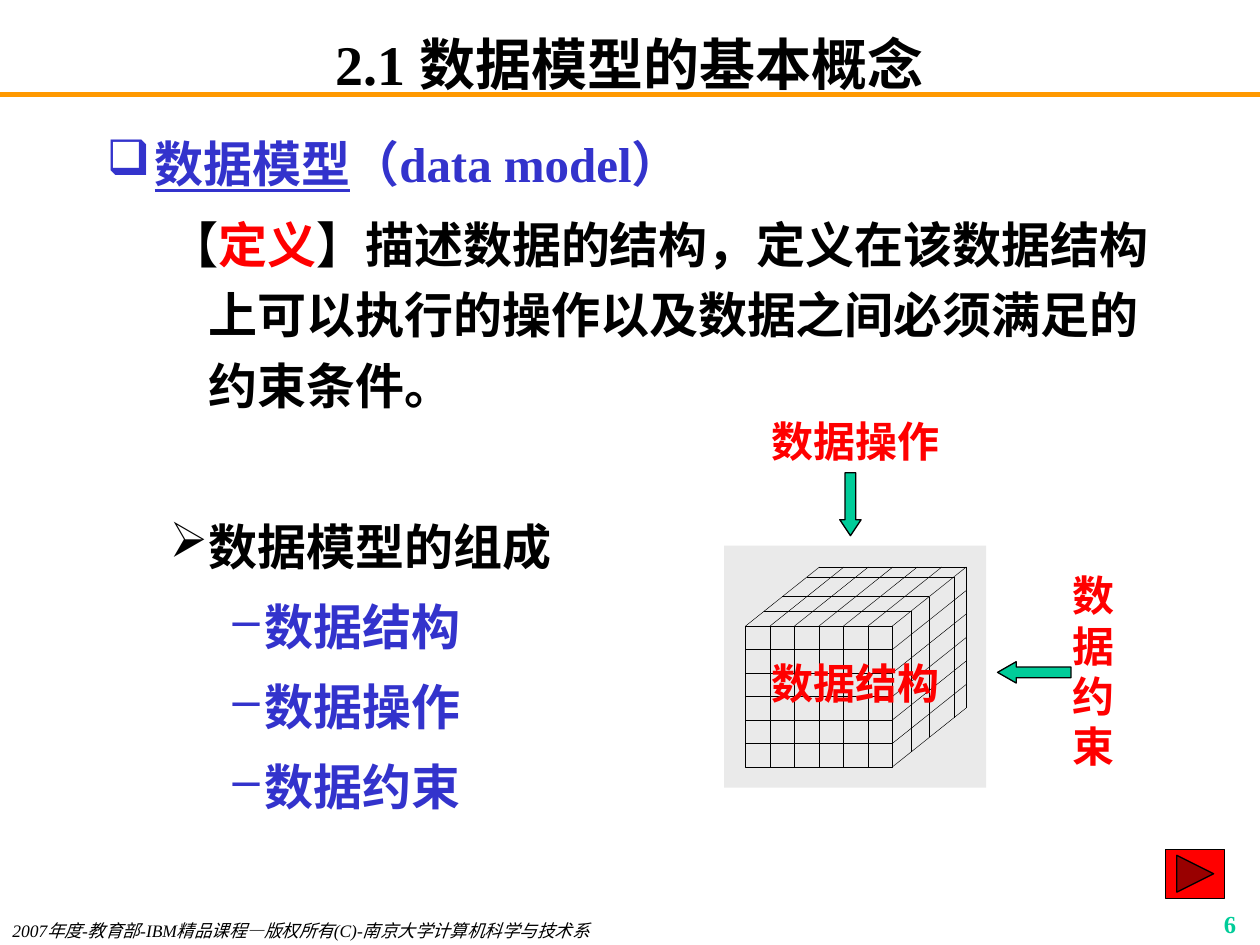
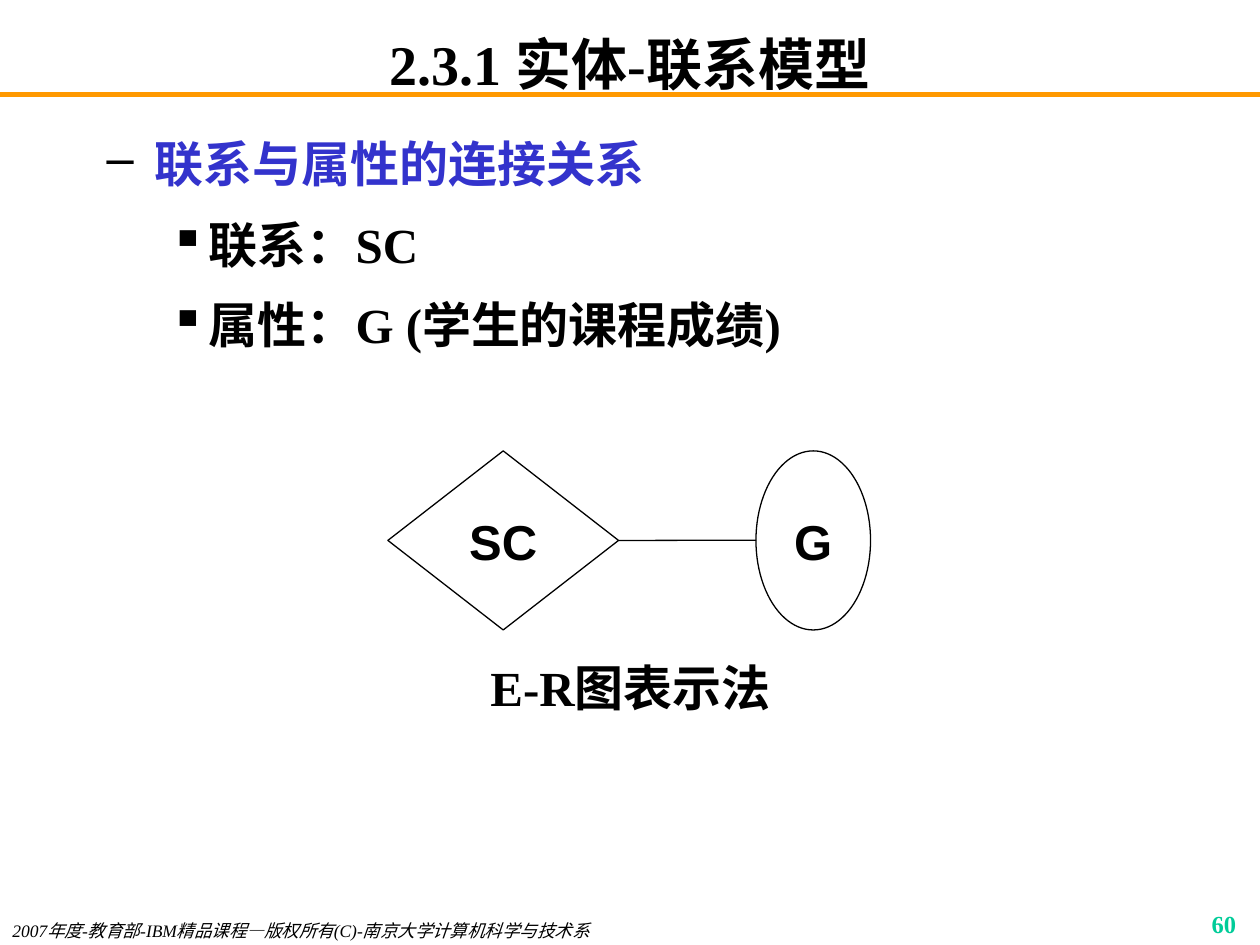
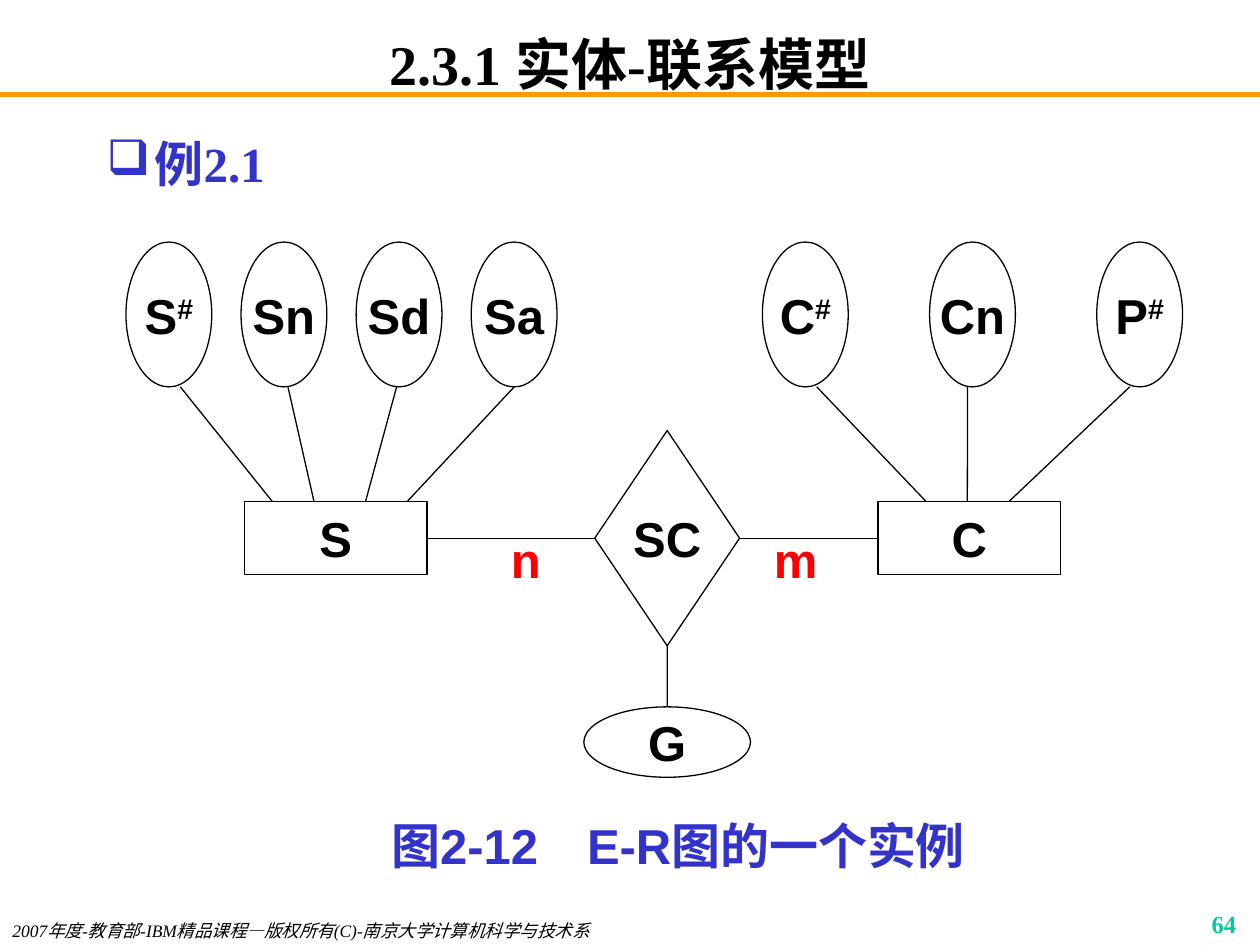
from collections import namedtuple

from lxml import etree
from pptx import Presentation
from pptx import util as u
from pptx.dml.color import RGBColor
from pptx.enum import shapes, text
from pptx.oxml import ns

Box = namedtuple("Box", "left top width height")

COLOURS = {
    "ink": "000000", "blue": "3333CC", "red": "FF0000", "green": "00CC99",
    "orange": "FF9900", "grey": "EAEAEA", "white": "FFFFFF",
}
SERIF, SANS, CJK = "Times New Roman", "Arial", "Noto Sans CJK SC"
FORMATS = {
    "title": dict(name=SERIF, size=u.Pt(32), bold=True, colour="ink"),
    "body": dict(name=SERIF, size=u.Pt(28), bold=True, colour="ink"),
    "heading": dict(name=SERIF, size=u.Pt(28), bold=True, colour="blue"),
    "label": dict(name=SERIF, size=u.Pt(24), bold=True, colour="red"),
    "node": dict(name=SANS, size=u.Pt(28), bold=True, colour="ink"),
    "footer": dict(name=SERIF, size=u.Pt(10), italic=True, colour="ink"),
    "number": dict(name=SERIF, size=u.Pt(14), bold=True, colour="green"),
}
LEVELS = [(0.97, -0.97), (2.06, -0.79), (3.18, -0.64)]
FOOTER = "2007年度-教育部-IBM精品课程—版权所有(C)-南京大学计算机科学与技术系"
BODY = Box(1.9, 2.34, 21.6, 15.44)
CENTER = text.PP_ALIGN.CENTER
ZERO_INSETS = dict(margin_left=0, margin_top=0, margin_right=0, margin_bottom=0)


def inside(box, left, top, width, height):
    """Return a box placed relative to the corner of another."""
    return Box(box.left + left, box.top + top, width, height)


def set_attributes(target, values):
    """Set every named attribute of the target."""
    for name, value in values.items():
        setattr(target, name, value)


def rgb(colour):
    """Return the palette colour of that name."""
    return RGBColor.from_string(COLOURS[colour])


def write(paragraph, content, style, **changes):
    """Add a string, or a list of (string, changes), to a paragraph."""
    runs = [(content, {})] if isinstance(content, str) else content
    for words, own in runs:
        values = {**FORMATS[style], **changes, **own}
        colour, baseline = values.pop("colour"), values.pop("baseline", None)
        run = paragraph.add_run()
        run.text = words
        set_attributes(run.font, values)
        run.font.color.rgb = rgb(colour)
        properties = run._r.get_or_add_rPr()
        etree.SubElement(properties, ns.qn("a:ea"), typeface=CJK)
        if baseline:
            properties.set("baseline", str(baseline))


def add_text(slide, box, content, style, align=CENTER, frame=None, **changes):
    """Add a wrapping text box with one paragraph."""
    text_frame = slide.shapes.add_textbox(*map(u.Cm, box)).text_frame
    set_attributes(text_frame, {"word_wrap": True, **(frame or {})})
    paragraph = text_frame.paragraphs[0]
    paragraph.alignment = align
    write(paragraph, content, style, **changes)


def add_figure(slide, kind, box, fill=None, line="ink", width=0.75, label=None, adjustments=()):
    """Add a preset shape with an optional centred label."""
    shape = slide.shapes.add_shape(kind, *map(u.Cm, box))
    shape.shadow.inherit = False
    if fill:
        shape.fill.solid()
        shape.fill.fore_color.rgb = rgb(fill)
    else:
        shape.fill.background()
    if line:
        shape.line.color.rgb = rgb(line)
        shape.line.width = u.Pt(width)
    else:
        shape.line.fill.background()
    for index, value in enumerate(adjustments):
        shape.adjustments[index] = value
    if label:
        set_attributes(shape.text_frame, dict(
            word_wrap=False, vertical_anchor=text.MSO_ANCHOR.MIDDLE, **ZERO_INSETS))
        paragraph = shape.text_frame.paragraphs[0]
        paragraph.alignment = CENTER
        write(paragraph, label, "node")
    return shape


def add_line(slide, start=(0, 0), end=(0, 0), colour="ink", width=0.75, begin=None, finish=None):
    """Add a straight connector, joined to (shape, site) pairs where given."""
    connector = slide.shapes.add_connector(
        shapes.MSO_CONNECTOR.STRAIGHT, *map(u.Cm, (*start, *end)))
    if begin:
        connector.begin_connect(*begin)
    if finish:
        connector.end_connect(*finish)
    connector.line.color.rgb = rgb(colour)
    connector.line.width = u.Pt(width)
    etree.SubElement(connector._element.spPr, ns.qn("a:effectLst"))


def add_outline(slide, box, items):
    """Add the outline, whose items hold level, bullet, content and options."""
    text_frame = slide.shapes.add_textbox(*map(u.Cm, box)).text_frame
    text_frame.word_wrap = True
    for index, (level, bullet, content, style, options) in enumerate(items):
        options = dict(options)
        before, bullet_colour = options.pop("before", 5.5), options.pop("bullet_colour", None)
        paragraph = text_frame.add_paragraph() if index else text_frame.paragraphs[0]
        paragraph.level = level
        properties = paragraph._p.get_or_add_pPr()
        for name, value in zip(("marL", "indent"), LEVELS[level]):
            properties.set(name, str(u.Cm(value)))
        if bullet_colour:
            holder = etree.SubElement(properties, ns.qn("a:buClr"))
            etree.SubElement(holder, ns.qn("a:srgbClr"), val=COLOURS[bullet_colour])
        if bullet:
            etree.SubElement(properties, ns.qn("a:buChar"), char=bullet)
        paragraph.line_spacing = 1.2
        if index:
            paragraph.space_before = u.Pt(before)
        write(paragraph, content, style, **options)


def add_page(presentation, title, number):
    """Add a slide with the title, band, footer and number that all share."""
    slide = presentation.slides.add_slide(presentation.slide_layouts[6])
    add_line(slide, (0, 1.9), (25.4, 1.9), "orange", 3)
    add_text(slide, Box(1.9, 0.64, 21.6, 1.27), title, "title", frame=dict(
        vertical_anchor=text.MSO_ANCHOR.MIDDLE, margin_top=0, margin_bottom=0))
    add_text(slide, Box(0, 18.42, 13.97, 0.64), FOOTER, "footer", text.PP_ALIGN.LEFT)
    add_text(slide, Box(19.89, 18.21, 5.28, 0.64), str(number), "number", text.PP_ALIGN.RIGHT)
    return slide


def draw_cube(slide, box):
    """Draw the gridded cube on its grey panel."""
    rectangle = shapes.MSO_SHAPE.RECTANGLE
    add_figure(slide, rectangle, box, "grey", None)
    front = inside(box, 0.43, 1.62, 2.96, 2.84)
    add_figure(slide, rectangle, front, "grey", width=0.25)
    right, bottom = front.left + front.width, front.top + front.height
    depth_x, depth_y, cells = 1.49, -1.19, 6
    columns = [front.left + front.width * step / cells for step in range(cells + 1)]
    rows = [front.top + front.height * step / cells for step in range(cells + 1)]
    edges = [((right, y), (front.left, y)) for y in rows[1:-1]]
    edges += [((x, front.top), (x, bottom)) for x in columns[1:-1]]
    edges += [((x + depth_x, front.top + depth_y), (x, front.top)) for x in columns]
    edges += [((right + depth_x, y + depth_y), (right, y)) for y in rows[1:]]
    for part in (0.25, 0.5, 0.83, 1):
        x, y = right + part * depth_x, front.top + part * depth_y
        edges += [((x, y), (x - front.width, y)), ((x, y), (x, y + front.height))]
    for start, end in edges:
        add_line(slide, start, end, width=0.25)


def draw_model(slide, box):
    """Draw the cube with its labels and the arrows pointing at it."""
    draw_cube(slide, inside(box, 0, 2.74, 5.28, 4.88))
    for label, place in (
        ("数据结构", (0.64, 4.88, 4.02, 1.27)),
        ("数据约束", (6.78, 3.1, 1.27, 4.32)),
        ("数据操作", (0, 0, 5.28, 1.27)),
    ):
        add_text(slide, inside(box, *place), label, "label")
    for kind, place, head in (
        (shapes.MSO_SHAPE.LEFT_ARROW, (5.51, 5.08, 1.48, 0.43), 0.875),
        (shapes.MSO_SHAPE.DOWN_ARROW, (2.33, 1.27, 0.43, 1.27), 0.75),
    ):
        add_figure(slide, kind, inside(box, *place), "green", adjustments=(0.5, head))


def draw_relation(slide, box):
    """Draw a relationship joined to its attribute, with a caption."""
    relation = add_figure(slide, shapes.MSO_SHAPE.DIAMOND,
                          inside(box, 0.71, 0, 4.65, 3.61), "white", label="SC")
    add_figure(slide, shapes.MSO_SHAPE.OVAL, inside(box, 8.13, 0, 2.31, 3.61), "white", label="G")
    add_line(slide, end=(box.left + 8.13, box.top + 1.8), begin=(relation, 3))
    add_text(slide, inside(box, 0, 4.04, box.width, 1.45), "E-R图表示法", "body")


def draw_entity(slide, box, label, left, pitch, attributes):
    """Draw an entity in the box, with a row of attributes linked to its top."""
    entity = add_figure(slide, shapes.MSO_SHAPE.RECTANGLE, box, label=label)
    top, width, height = box.top - 5.23, 1.73, 2.92
    for index, (name, start, end) in enumerate(attributes):
        oval = Box(left + index * pitch, top, width, height)
        add_figure(slide, shapes.MSO_SHAPE.OVAL, oval, label=name)
        add_line(slide, (oval.left + width / 2 + start, top + height), (box.left + end, box.top))
    return entity


def draw_example(slide, box):
    """Draw two entities, their relationship and a caption."""
    def numbered(letter):
        """Return the letter with a raised number sign."""
        return [(letter, {}), ("#", dict(baseline=30000))]

    student = draw_entity(slide, inside(box, 2.39, 5.23, 3.68, 1.48), "S", box.left, 2.32, [
        (numbered("S"), 0.23, 0.56), ("Sn", 0.08, 1.4), ("Sd", -0.05, 2.44), ("Sa", 0, 3.28)])
    course = draw_entity(
        slide, inside(box, 15.16, 5.23, 3.68, 1.48), "C", box.left + 12.83, 3.37, [
            (numbered("C"), 0.23, 0.97), ("Cn", -0.1, 1.8), (numbered("P"), -0.2, 2.64)])
    relation = add_figure(slide, shapes.MSO_SHAPE.FLOWCHART_DECISION,
                          inside(box, 9.45, 3.8, 2.92, 4.34), label="SC")
    grade = add_figure(slide, shapes.MSO_SHAPE.OVAL, inside(box, 9.23, 9.37, 3.36, 1.42), label="G")
    for begin, finish in (((student, 3), (relation, 1)), ((relation, 3), (course, 1)),
                          ((relation, 2), (grade, 0))):
        add_line(slide, begin=begin, finish=finish)
    for label, left in (("n", 7.54), ("m", 12.98)):
        add_text(slide, inside(box, left, 5.79, 1.04, 1.19), label, "node",
                 frame=ZERO_INSETS, colour="red")
    add_text(slide, inside(box, 2.34, 11.43, 17.58, 1.45),
             "图2-12　E-R图的一个实例", "node", colour="blue")


def build_concepts(presentation):
    """Build the slide on the data model's basic concepts."""
    slide = add_page(presentation, "2.1 数据模型的基本概念", 6)
    definition = [
        ("【", {}), ("定义", dict(colour="red")),
        ("】描述数据的结构，定义在该数据结构上可以执行的操作以及数据之间必须满足的约束条件。", {})]
    add_outline(slide, BODY, [
        (0, "❑", [("数据模型", dict(underline=True)), ("（data model）", {})], "heading", {}),
        (1, None, definition, "body", {}),
        (1, "➢", "数据模型的组成", "body", dict(before=51.5)),
        *((2, "–", part, "heading", {}) for part in ("数据结构", "数据操作", "数据约束")),
    ])
    draw_model(slide, Box(14.6, 8.26, 8.05, 7.62))
    add_figure(slide, shapes.MSO_SHAPE.ACTION_BUTTON_FORWARD_OR_NEXT,
               Box(23.5, 17.12, 1.19, 0.99), "red")


def build_relation(presentation):
    """Build the slide on joining relationships and attributes."""
    slide = add_page(presentation, "2.3.1 实体-联系模型", 60)
    black = dict(bullet_colour="ink")
    add_outline(slide, BODY._replace(height=5.59), [
        (0, "–", "联系与属性的连接关系", "heading", dict(name=CJK, **black)),
        (1, "▪", "联系：SC", "body", black),
        (1, "▪", "属性：G (学生的课程成绩)", "body", black),
    ])
    draw_relation(slide, Box(7.11, 9.09, 11.2, 5.49))


def build_example(presentation):
    """Build the slide with the worked example."""
    slide = add_page(presentation, "2.3.1 实体-联系模型", 64)
    add_outline(slide, BODY, [(0, "❑", "例2.1", "heading", {})])
    draw_example(slide, Box(2.54, 4.88, 21.3, 12.88))


def main():
    """Build the presentation and save it."""
    presentation = Presentation()
    set_attributes(presentation, dict(slide_width=u.Cm(25.4), slide_height=u.Cm(19.05)))
    for build in (build_concepts, build_relation, build_example):
        build(presentation)
    presentation.save("out.pptx")


if __name__ == "__main__":
    main()
